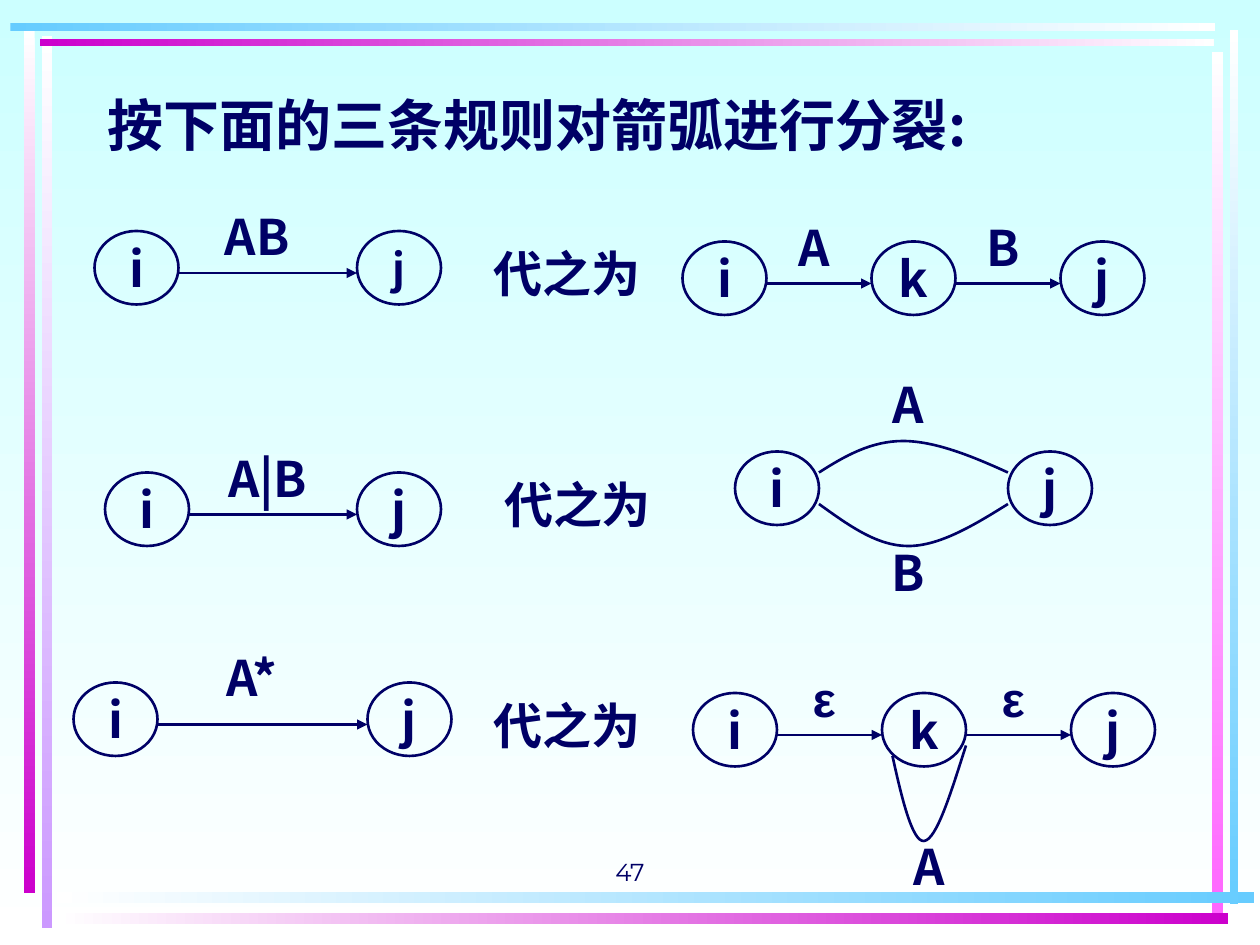
from dataclasses import dataclass

from lxml.etree import SubElement
from pptx import Presentation
from pptx.dml.color import RGBColor
from pptx.enum.shapes import MSO_CONNECTOR, MSO_SHAPE
from pptx.enum.text import MSO_ANCHOR, MSO_AUTO_SIZE, PP_ALIGN
from pptx.oxml.ns import qn
from pptx.util import Emu, Pt

PX = 7620


@dataclass(frozen=True)
class Theme:
    """Colours, fonts and sizes in points."""

    ink: str = "000066"
    white: str = "FFFFFF"
    sky: str = "CCFFFF"
    blue: str = "66CCFF"
    purple: str = "CC00CC"
    lilac: str = "CC99FF"
    pink: str = "FF66FF"
    font: str = "Noto Sans CJK SC"
    greek_font: str = "Arial"
    number_font: str = "Montserrat"
    title_size: int = 32
    text_size: int = 28
    small_size: int = 24
    number_size: int = 14
    stroke: float = 1.5


THEME = Theme()


@dataclass(frozen=True)
class Bar:
    """A gradient bar of the frame."""

    box: tuple[int, int, int, int]
    first: str
    last: str
    angle: int


@dataclass(frozen=True)
class Chain:
    """States on one level, with the arrows and labels between neighbours."""

    top: int
    states: tuple[tuple[str, int], ...]
    labels: tuple[str, ...] = ()
    label_dx: int = 70
    label_dy: int = -30
    last_size: int = THEME.text_size
    label_font: str = THEME.font


@dataclass(frozen=True)
class Arc:
    """A curve through Bezier points, with its label."""

    points: tuple[tuple[int, int], ...]
    label: str
    label_at: tuple[int, int]


DOWN, ACROSS = 270, 0
BARS = (
    Bar((40, 34, 10, 850), THEME.white, THEME.lilac, DOWN),
    Bar((23, 30, 10, 821), THEME.white, THEME.purple, DOWN),
    Bar((1171, 29, 8, 832), THEME.white, THEME.blue, DOWN),
    Bar((1154, 50, 11, 820), THEME.white, THEME.pink, DOWN),
    Bar((54, 850, 1140, 10), THEME.white, THEME.blue, ACROSS),
    Bar((54, 870, 1116, 10), THEME.white, THEME.purple, ACROSS),
    Bar((38, 37, 1118, 7), THEME.purple, THEME.white, ACROSS),
    Bar((10, 22, 1147, 8), THEME.blue, THEME.white, ACROSS),
)
CHAINS = (
    Chain(220, (("i", 90), ("j", 340)), ("AB",), 100, last_size=THEME.small_size),
    Chain(230, (("i", 650), ("k", 830), ("j", 1010)), ("A", "B")),
    Chain(450, (("i", 100), ("j", 340)), ("A|B",), 100),
    Chain(430, (("i", 700), ("j", 960))),
    Chain(650, (("i", 70), ("j", 350)), ("A*",), 115, -40),
    Chain(660, (("i", 660), ("k", 840), ("j", 1020)), ("ε", "ε"),
          label_font=THEME.greek_font),
)
ARCS = (
    Arc(((780, 450), (805, 434), (830, 420), (860, 420),
         (890, 420), (925, 434), (960, 450)), "A", (810, 350)),
    Arc(((780, 480), (808, 500), (835, 520), (865, 520),
         (895, 520), (928, 500), (960, 480)), "B", (810, 510)),
    Arc(((920, 710), (906, 754), (892, 800), (880, 801),
         (869, 802), (859, 761), (850, 720)), "A", (830, 790)),
)
REPLACEMENTS = ((470, 220), (480, 440), (470, 650))
STATE_W, STATE_H, ARROW_DY = 80, 70, 40
LABEL_W, LABEL_H = 110, 70


def emu(*lengths: int) -> list[Emu]:
    """Turn px into EMU."""
    return [Emu(length * PX) for length in lengths]


def apply(target, values: dict) -> None:
    """Set each attribute named in values."""
    for name, value in values.items():
        setattr(target, name, value)


def write(shape, text: str, size: int = THEME.text_size, font: str = THEME.font,
          bold: bool = True, align=PP_ALIGN.CENTER, anchor=MSO_ANCHOR.MIDDLE,
          wrap: bool = False) -> None:
    """Put one formatted line of text into a shape."""
    frame = shape.text_frame
    apply(frame, {"word_wrap": wrap, "auto_size": MSO_AUTO_SIZE.NONE,
                  "vertical_anchor": anchor})
    paragraph = frame.paragraphs[0]
    paragraph.alignment = align
    run = paragraph.add_run()
    run.text = text
    apply(run.font, {"name": font, "size": Pt(size), "bold": bold})
    run.font.color.rgb = RGBColor.from_string(THEME.ink)
    SubElement(run.font._element, qn("a:ea"), typeface=font)


def add_text(slide, box: tuple[int, int, int, int], text: str, **style) -> None:
    """Add a text box."""
    write(slide.shapes.add_textbox(*emu(*box)), text, **style)


def shade(fill, first: str, last: str, angle: int) -> None:
    """Fill with a two-colour gradient."""
    fill.gradient()
    fill.gradient_angle = angle
    for stop, colour in zip(fill.gradient_stops, (first, last)):
        stop.color.rgb = RGBColor.from_string(colour)


def ink_line(shape) -> None:
    """Give a shape or connector the diagram line."""
    shape.line.color.rgb = RGBColor.from_string(THEME.ink)
    shape.line.width = Pt(THEME.stroke)


def add_bar(slide, bar: Bar) -> None:
    """Draw a frame bar."""
    strip = slide.shapes.add_shape(MSO_SHAPE.RECTANGLE, *emu(*bar.box))
    strip.shadow.inherit = False
    strip.line.fill.background()
    shade(strip.fill, bar.first, bar.last, bar.angle)


def add_state(slide, name: str, left: int, top: int, size: int) -> None:
    """Draw a named state."""
    state = slide.shapes.add_shape(MSO_SHAPE.OVAL, *emu(left, top, STATE_W, STATE_H))
    state.shadow.inherit = False
    state.fill.background()
    ink_line(state)
    write(state, name, size)


def add_arrow(slide, start: int, end: int, level: int) -> None:
    """Draw a level arrow."""
    arrow = slide.shapes.add_connector(MSO_CONNECTOR.STRAIGHT,
                                       *emu(start, level, end, level))
    ink_line(arrow)
    properties = arrow.element.spPr
    SubElement(properties.find(qn("a:ln")), qn("a:tailEnd"), type="triangle")
    SubElement(properties, qn("a:effectLst"))


def add_chain(slide, chain: Chain) -> None:
    """Draw the states of a chain and what joins them."""
    for name, left in chain.states:
        last = (name, left) == chain.states[-1]
        add_state(slide, name, left, chain.top,
                  chain.last_size if last else THEME.text_size)
    for label, (_, left), (_, target) in zip(chain.labels, chain.states, chain.states[1:]):
        add_arrow(slide, left + STATE_W, target, chain.top + ARROW_DY)
        add_text(slide, (left + chain.label_dx, chain.top + chain.label_dy,
                         LABEL_W, LABEL_H), label, font=chain.label_font)


def add_arc(slide, arc: Arc) -> None:
    """Draw a labelled curve, each three points making one Bezier segment."""
    builder = slide.shapes.build_freeform(*arc.points[0], scale=PX)
    builder.add_line_segments(arc.points[1:], close=False)
    curve = builder.convert_to_shape()
    curve.shadow.inherit = False
    curve.fill.background()
    ink_line(curve)
    outline = next(curve.element.iter(qn("a:path")))
    steps = outline.findall(qn("a:lnTo"))
    for first in range(0, len(steps), 3):
        bezier = SubElement(outline, qn("a:cubicBezTo"))
        for step in steps[first:first + 3]:
            bezier.append(step[0])
            outline.remove(step)
    add_text(slide, (*arc.label_at, LABEL_W, LABEL_H), arc.label)


def main() -> None:
    """Build the slide and save it."""
    deck = Presentation()
    deck.slide_width, deck.slide_height = emu(1200, 900)
    slide = deck.slides.add_slide(deck.slide_layouts[5])
    shade(slide.background.fill, THEME.sky, THEME.white, DOWN)
    for bar in BARS:
        add_bar(slide, bar)
    title = slide.shapes.title
    apply(title, dict(zip(("left", "top", "width", "height"), emu(90, 80, 1020, 90))))
    write(title, "按下面的三条规则对箭弧进行分裂:", THEME.title_size,
          align=PP_ALIGN.JUSTIFY, anchor=MSO_ANCHOR.TOP, wrap=True)
    for corner in REPLACEMENTS:
        add_text(slide, (*corner, 140, 80), "代之为")
    for chain in CHAINS:
        add_chain(slide, chain)
    for arc in ARCS:
        add_arc(slide, arc)
    add_text(slide, (410, 790, 380, 60), "47", size=THEME.number_size, bold=False,
             font=THEME.number_font, anchor=MSO_ANCHOR.BOTTOM, wrap=True)
    deck.save("out.pptx")


if __name__ == "__main__":
    main()
